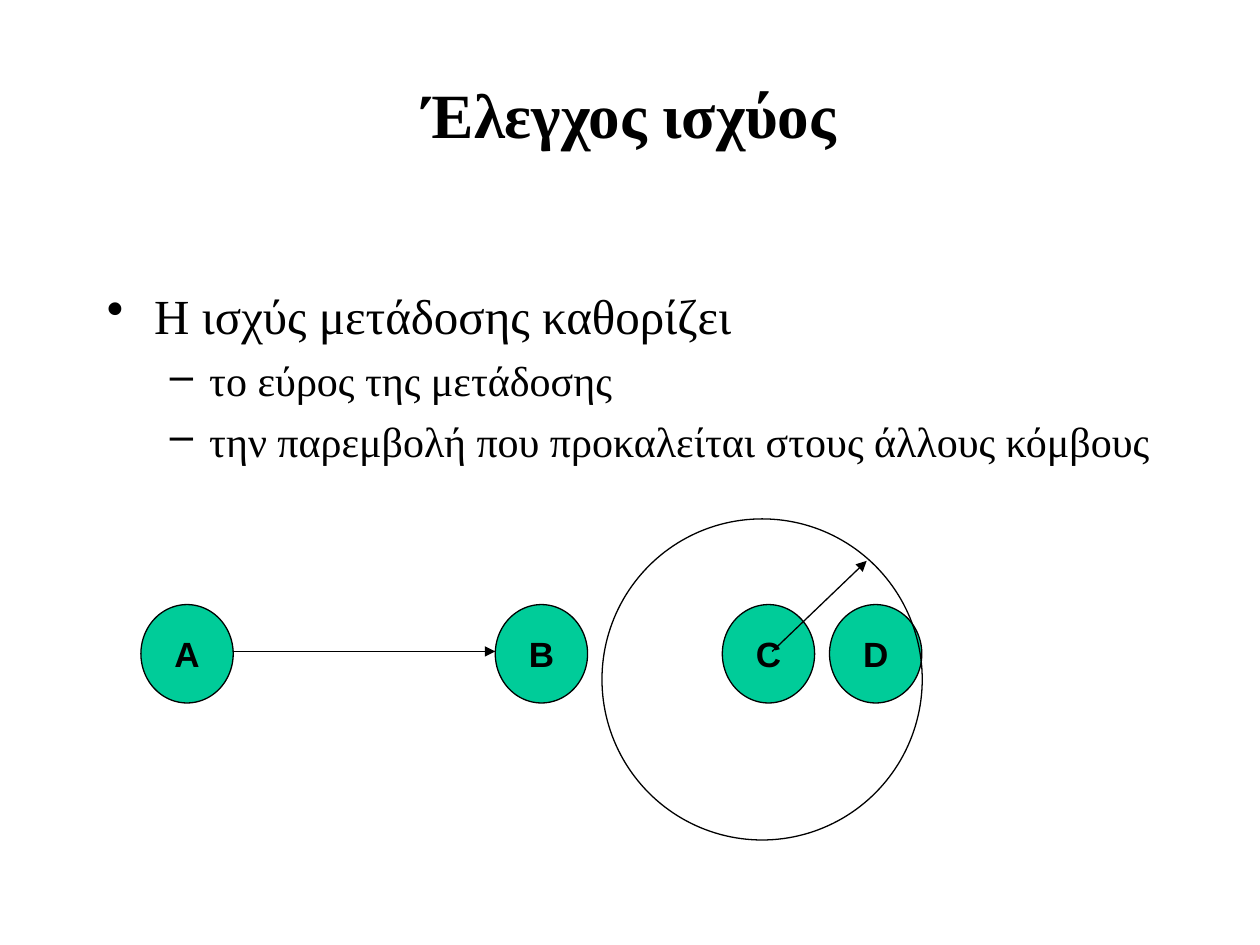
from dataclasses import dataclass

from lxml.etree import SubElement
from pptx import Presentation
from pptx.dml.color import RGBColor
from pptx.enum.shapes import MSO_CONNECTOR as Connector, MSO_SHAPE as Shape
from pptx.enum.text import MSO_ANCHOR as Anchor, PP_ALIGN as Align
from pptx.oxml.ns import qn
from pptx.util import Pt


@dataclass(frozen=True)
class Theme:
    ink: RGBColor = RGBColor(0x00, 0x00, 0x00)
    node: RGBColor = RGBColor(0x00, 0xCC, 0x99)
    serif: str = "Times New Roman"
    sans: str = "Arial"
    title_size: float = 36
    label_size: float = 20
    line_width: float = 0.75
    # Per outline level: size, left margin, hanging indent, bullet, space before
    levels: tuple = ((28, 27, 27, "•", 7), (24, 58.5, 22.5, "–", 6))


class SlideBuilder:
    """Draws styled elements on one slide; all lengths are in points."""

    def __init__(self, slide, theme):
        self.slide = slide
        self.theme = theme

    def style(self, paragraph, size, face, bold=False):
        font = paragraph.font
        font.name, font.size, font.bold = face, Pt(size), bold
        font.color.rgb = self.theme.ink

    def title(self, text, left, top, width, height):
        heading = self.slide.shapes.title
        heading.left, heading.top = Pt(left), Pt(top)
        heading.width, heading.height = Pt(width), Pt(height)
        frame = heading.text_frame
        frame.text = text
        frame.vertical_anchor = Anchor.MIDDLE
        paragraph = frame.paragraphs[0]
        paragraph.alignment = Align.CENTER
        self.style(paragraph, self.theme.title_size, self.theme.serif, bold=True)

    def outline(self, items, left, top, width, height):
        frame = self.slide.shapes.add_textbox(
            Pt(left), Pt(top), Pt(width), Pt(height)).text_frame
        frame.word_wrap = True
        frame.margin_top = Pt(7.2)
        for index, (level, text) in enumerate(items):
            paragraph = frame.add_paragraph() if index else frame.paragraphs[0]
            size, margin, hanging, bullet, gap = self.theme.levels[level]
            paragraph.text = text
            paragraph.level = level
            properties = paragraph._p.get_or_add_pPr()
            properties.set("marL", str(Pt(margin)))
            properties.set("indent", str(-Pt(hanging)))
            SubElement(properties, qn("a:buChar"), char=bullet)
            paragraph.space_before = Pt(gap if index else 0)
            self.style(paragraph, size, self.theme.serif)

    def ellipse(self, left, top, width, height, fill=None, label=None):
        oval = self.slide.shapes.add_shape(
            Shape.OVAL, Pt(left), Pt(top), Pt(width), Pt(height))
        oval.shadow.inherit = False
        oval.line.color.rgb = self.theme.ink
        oval.line.width = Pt(self.theme.line_width)
        if fill is None:
            oval.fill.background()
        else:
            oval.fill.solid()
            oval.fill.fore_color.rgb = fill
        if label:
            frame = oval.text_frame
            frame.text = label
            frame.word_wrap = False
            frame.vertical_anchor = Anchor.MIDDLE
            paragraph = frame.paragraphs[0]
            paragraph.alignment = Align.CENTER
            self.style(paragraph, self.theme.label_size, self.theme.sans, bold=True)

    def arrow(self, start, end):
        link = self.slide.shapes.add_connector(
            Connector.STRAIGHT, *map(Pt, (*start, *end)))
        link.line.color.rgb = self.theme.ink
        link.line.width = Pt(self.theme.line_width)
        SubElement(link.line._get_or_add_ln(), qn("a:tailEnd"), type="triangle")
        SubElement(link._element.spPr, qn("a:effectLst"))


def main():
    deck = Presentation()
    deck.slide_width, deck.slide_height = Pt(720), Pt(540)
    theme = Theme()
    builder = SlideBuilder(deck.slides.add_slide(deck.slide_layouts[5]), theme)

    # Title and outline
    builder.title("Έλεγχος ισχύος", 54, 20, 612, 90)
    builder.outline([
        (0, "Η ισχύς μετάδοσης καθορίζει"),
        (1, "το εύρος της μετάδοσης"),
        (1, "την παρεμβολή που προκαλείται στους άλλους κόμβους"),
    ], 54, 156, 612, 324)

    # Network nodes
    node_top, node_width, node_height = 345.5, 52.75, 56.25
    node_left = {"A": 80.5, "B": 283, "C": 412.75, "D": 474}
    for name, left in node_left.items():
        builder.ellipse(left, node_top, node_width, node_height, theme.node, name)

    # Transmission range of C
    builder.ellipse(344, 296.5, 183, 183.5)

    # Transmission from A to B, and the range radius from C
    axis = 372.25
    builder.arrow((node_left["A"] + node_width, axis), (node_left["B"], axis))
    builder.arrow((441.25, axis), (495.25, 320.5))

    deck.save("out.pptx")


if __name__ == "__main__":
    main()
